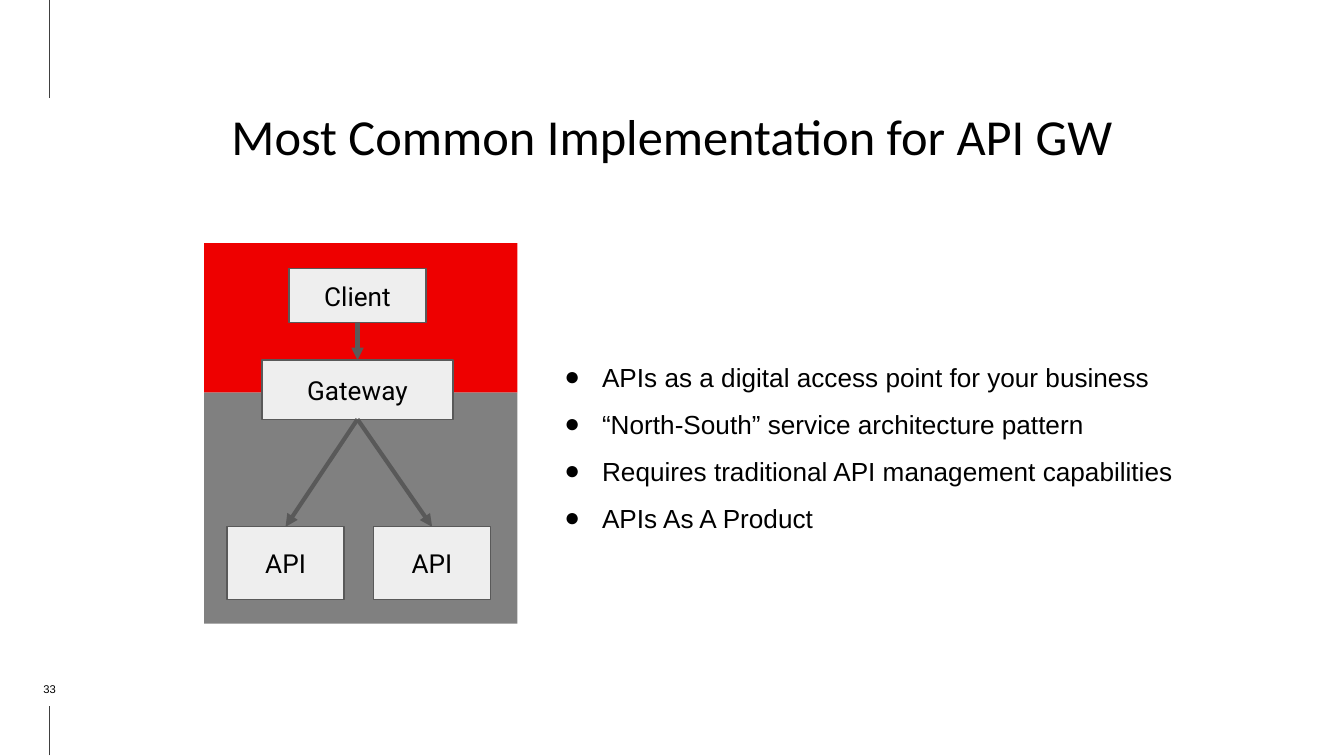
from typing import NamedTuple

from lxml import etree
from pptx import Presentation
from pptx import util as u
from pptx.dml.color import RGBColor
from pptx.enum import shapes, text
from pptx.oxml.ns import qn

BLACK, RED, GREY = "000000", "EE0000", "808080"
BOX_FILL, BOX_LINE, MARGIN_COLOR = "EEEEEE", "595959", "404040"


class Frame(NamedTuple):
    left: float
    top: float
    width: float
    height: float

    def lengths(self) -> list:
        return [u.Inches(value) for value in self]


class Box(NamedTuple):
    label: str
    frame: Frame


BANDS = [
    (GREY, Frame(1.52, 2.92, 2.33, 1.72)),
    (RED, Frame(1.52, 1.81, 2.33, 1.11)),
]
BOXES = [
    Box("Client", Frame(2.15, 2, 1.02, 0.4)),
    Box("Gateway", Frame(1.95, 2.68, 1.42, 0.44)),
    Box("API", Frame(1.69, 3.92, 0.87, 0.54)),
    Box("API", Frame(2.78, 3.92, 0.87, 0.54)),
]
BULLETS = [
    "APIs as a digital access point for your business",
    "“North-South” service architecture pattern",
    "Requires traditional API management capabilities",
    "APIs As A Product",
]
MARGIN_X = 0.37
MARGIN_LINES = [(0.73, 0), (5.62, 5.25)]


def color(value: str) -> RGBColor:
    return RGBColor.from_string(value)


def style_paragraph(paragraph, font: str, size: float, align=text.PP_ALIGN.CENTER) -> None:
    paragraph.alignment = align
    paragraph.font.name = font
    paragraph.font.size = u.Pt(size)
    paragraph.font.color.rgb = color(BLACK)


def set_insets(frame, inset: float) -> None:
    frame.word_wrap = True
    frame.margin_left = frame.margin_right = u.Inches(inset)
    frame.margin_top = frame.margin_bottom = u.Inches(inset)


def add_text(slide, frame: Frame, anchor=text.MSO_ANCHOR.TOP):
    text_frame = slide.shapes.add_textbox(*frame.lengths()).text_frame
    set_insets(text_frame, 0)
    text_frame.vertical_anchor = anchor
    return text_frame


def add_rectangle(parent, frame: Frame, fill: str):
    shape = parent.shapes.add_shape(shapes.MSO_SHAPE.RECTANGLE, *frame.lengths())
    shape.shadow.inherit = False
    shape.fill.solid()
    shape.fill.fore_color.rgb = color(fill)
    shape.line.fill.background()
    return shape


def add_box(group, box: Box):
    shape = add_rectangle(group, box.frame, BOX_FILL)
    shape.line.color.rgb = color(BOX_LINE)
    shape.line.width = u.Pt(0.75)
    set_insets(shape.text_frame, 0.07)
    shape.text_frame.vertical_anchor = text.MSO_ANCHOR.MIDDLE
    paragraph = shape.text_frame.paragraphs[0]
    paragraph.text = box.label
    style_paragraph(paragraph, "Roboto", 14)
    return shape


def add_line(parent, start: tuple, end: tuple, line_color: str, width: float):
    points = [u.Inches(value) for value in (*start, *end)]
    line = parent.shapes.add_connector(shapes.MSO_CONNECTOR.STRAIGHT, *points)
    line.line.color.rgb = color(line_color)
    line.line.width = u.Pt(width)
    etree.SubElement(line._element.spPr, qn("a:effectLst"))
    return line


def add_arrow(group, source, target) -> None:
    arrow = add_line(group, (0, 0), (1, 1), BOX_LINE, 2.25)
    arrow.begin_connect(source, 2)
    arrow.end_connect(target, 0)
    etree.SubElement(arrow.line._get_or_add_ln(), qn("a:tailEnd"), type="triangle")


def add_diagram(slide) -> None:
    group = slide.shapes.add_group_shape()
    for fill, frame in BANDS:
        add_rectangle(group, frame, fill)
    client, gateway, *services = [add_box(group, box) for box in BOXES]
    add_arrow(group, client, gateway)
    for service in services:
        add_arrow(group, gateway, service)


def add_bullets(slide) -> None:
    frame = add_text(slide, Frame(4.1, 2.57, 4.77, 1.3))
    for index, bullet in enumerate(BULLETS):
        paragraph = frame.add_paragraph() if index else frame.paragraphs[0]
        paragraph.text = bullet
        paragraph.line_spacing = 1.5
        properties = paragraph._p.get_or_add_pPr()
        properties.set("marL", str(u.Inches(0.38)))
        properties.set("indent", str(u.Inches(-0.28)))
        bullet_color = etree.SubElement(properties, qn("a:buClr"))
        etree.SubElement(bullet_color, qn("a:srgbClr"), val=BLACK)
        etree.SubElement(properties, qn("a:buFont"), typeface="Arial")
        etree.SubElement(properties, qn("a:buChar"), char="●")
        style_paragraph(paragraph, "Arial", 14, text.PP_ALIGN.LEFT)


def add_title(slide) -> None:
    title = add_text(slide, Frame(0.55, 0.65, 8.9, 0.66)).paragraphs[0]
    title.text = "Most Common Implementation for API GW"
    title.line_spacing = 1.3
    style_paragraph(title, "Calibri", 27)


def add_page_number(slide) -> None:
    frame = add_text(slide, Frame(0.07, 5.06, 0.6, 0.12), text.MSO_ANCHOR.BOTTOM)
    number = frame.paragraphs[0]
    number.text = "33"
    style_paragraph(number, "Arial", 6)


def main() -> None:
    presentation = Presentation()
    presentation.slide_width = u.Inches(10)
    presentation.slide_height = presentation.slide_width * 9 // 16
    slide = presentation.slides.add_slide(presentation.slide_layouts[6])
    for start, end in MARGIN_LINES:
        add_line(slide, (MARGIN_X, start), (MARGIN_X, end), MARGIN_COLOR, 0.75)
    add_title(slide)
    add_diagram(slide)
    add_bullets(slide)
    add_page_number(slide)
    presentation.save("out.pptx")


if __name__ == "__main__":
    main()
